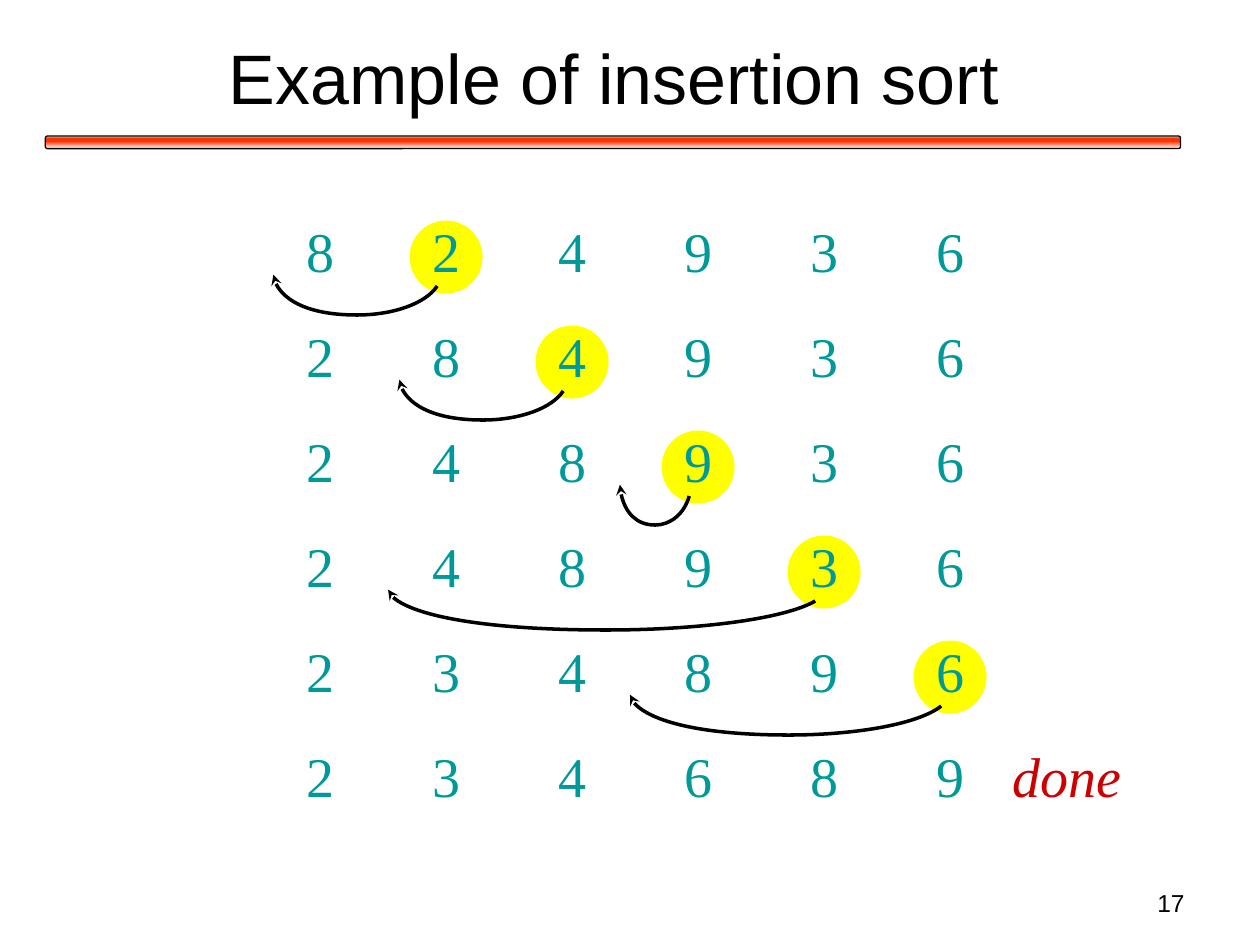
from lxml.etree import SubElement
from pptx import Presentation
from pptx.dml.color import RGBColor
from pptx.enum.shapes import MSO_SHAPE
from pptx.enum.text import MSO_ANCHOR, MSO_AUTO_SIZE, PP_ALIGN
from pptx.oxml.ns import qn
from pptx.util import Inches, Pt

TITLE = "Example of insertion sort"
PAGE = "17"
# digits of the row, column of the key, x where the key is inserted
STEPS = [
    ("824936", 1, 2.17),
    ("284936", 2, 3.17),
    ("248936", 3, 4.92),
    ("248936", 4, 3.08),
    ("234896", 5, 5.0),
    ("234689", None, None),
]
BAR_STOPS = [(0, "FFFFFF"), (16, "FF3300"), (42, "FF3300"), (100, "FFFFFF")]
# start, then two curves of three points: share of width, drop in inches
ARC = [(1, 0.09), (0.93, 0.23), (0.73, 0.32), (0.51, 0.32),
       (0.23, 0.32), (0.01, 0.18), (0, 0)]
LEFT, TOP = 2.33, 1.67
COL, ROW = 1, 5 / 6
CELL_W, CELL_H = 0.42, 0.63
DISC = 0.58
SERIF, SANS = "Times New Roman", "Arial"


def rgb(code):
    return RGBColor.from_string(code)


def style(frame, size, font, color, align, italic=None):
    para = frame.paragraphs[0]
    para.alignment = align
    for run in para.runs:
        run.font.size = Pt(size)
        run.font.name = font
        run.font.italic = italic
        run.font.color.rgb = rgb(color)


def add_bar(slide):
    bar = slide.shapes.add_shape(
        MSO_SHAPE.ROUNDED_RECTANGLE,
        Inches(0.36), Inches(1.08), Inches(9.01), Inches(0.1))
    bar.shadow.inherit = False
    bar.line.color.rgb = rgb("000000")
    bar.line.width = Pt(0.75)
    bar.fill.gradient()
    bar.fill.gradient_angle = 270
    stops = next(bar._element.iter(qn("a:gsLst")))
    stops.clear()
    for pos, color in BAR_STOPS:
        stop = SubElement(stops, qn("a:gs"), pos=str(pos * 1000))
        SubElement(stop, qn("a:srgbClr"), val=color)


def add_word(slide, text, x, y, width, color, italic=None):
    box = slide.shapes.add_textbox(
        Inches(x), Inches(y), Inches(width), Inches(CELL_H))
    frame = box.text_frame
    frame.text = text
    frame.word_wrap = False
    frame.auto_size = MSO_AUTO_SIZE.SHAPE_TO_FIT_TEXT
    style(frame, 32, SERIF, color, PP_ALIGN.CENTER, italic)


def add_disc(slide, x, y):
    disc = slide.shapes.add_shape(
        MSO_SHAPE.OVAL, Inches(x), Inches(y), Inches(DISC), Inches(DISC))
    disc.shadow.inherit = False
    disc.fill.solid()
    disc.fill.fore_color.rgb = rgb("FFFF00")
    disc.line.fill.background()


def bend(shape):
    """Turn each three straight segments of the outline into one curve."""
    lines = list(shape._element.iter(qn("a:lnTo")))
    for i in range(0, len(lines), 3):
        curve = SubElement(lines[i].getparent(), qn("a:cubicBezTo"))
        for line in lines[i:i + 3]:
            curve.append(line[0])
            line.getparent().remove(line)


def add_arc(slide, start, end, y):
    points = [(Inches(end + (start - end) * part), Inches(y + drop))
              for part, drop in ARC]
    pen = slide.shapes.build_freeform(*points[0])
    pen.add_line_segments(points[1:], close=False)
    arc = pen.convert_to_shape()
    bend(arc)
    arc.shadow.inherit = False
    arc.fill.background()
    arc.line.color.rgb = rgb("000000")
    arc.line.width = Pt(2)
    SubElement(arc.line._get_or_add_ln(), qn("a:tailEnd"), type="stealth")


def add_step(slide, row, digits, key, goal):
    y = TOP + row * ROW
    if key is not None:
        x = LEFT + key * COL
        add_disc(slide, x + (CELL_W - DISC) / 2, y + 0.08)
    for col, digit in enumerate(digits):
        add_word(slide, digit, LEFT + col * COL, y, CELL_W, "009999")
    if key is not None:
        add_arc(slide, x + 0.14, goal, y + 0.51)


def main():
    deck = Presentation()
    deck.slide_width, deck.slide_height = Inches(10), Inches(7.5)
    slide = deck.slides.add_slide(deck.slide_layouts[5])
    add_bar(slide)

    title = slide.shapes.title
    title.left, title.top = Inches(0.37), Inches(0.11)
    title.width, title.height = Inches(9), Inches(0.99)
    title.text_frame.text = TITLE
    title.text_frame.vertical_anchor = MSO_ANCHOR.MIDDLE
    style(title.text_frame, 40, SANS, "000000", PP_ALIGN.CENTER)

    for row, step in enumerate(STEPS):
        add_step(slide, row, *step)
    add_word(slide, "done", 7.93, TOP + 5 * ROW, 1.07, "CC0000", True)

    page = slide.shapes.add_textbox(
        Inches(7.17), Inches(7), Inches(2.33), Inches(0.35))
    page.text_frame.text = PAGE
    page.text_frame.word_wrap = True
    style(page.text_frame, 14, SANS, "000000", PP_ALIGN.RIGHT)
    deck.save("out.pptx")


if __name__ == "__main__":
    main()
